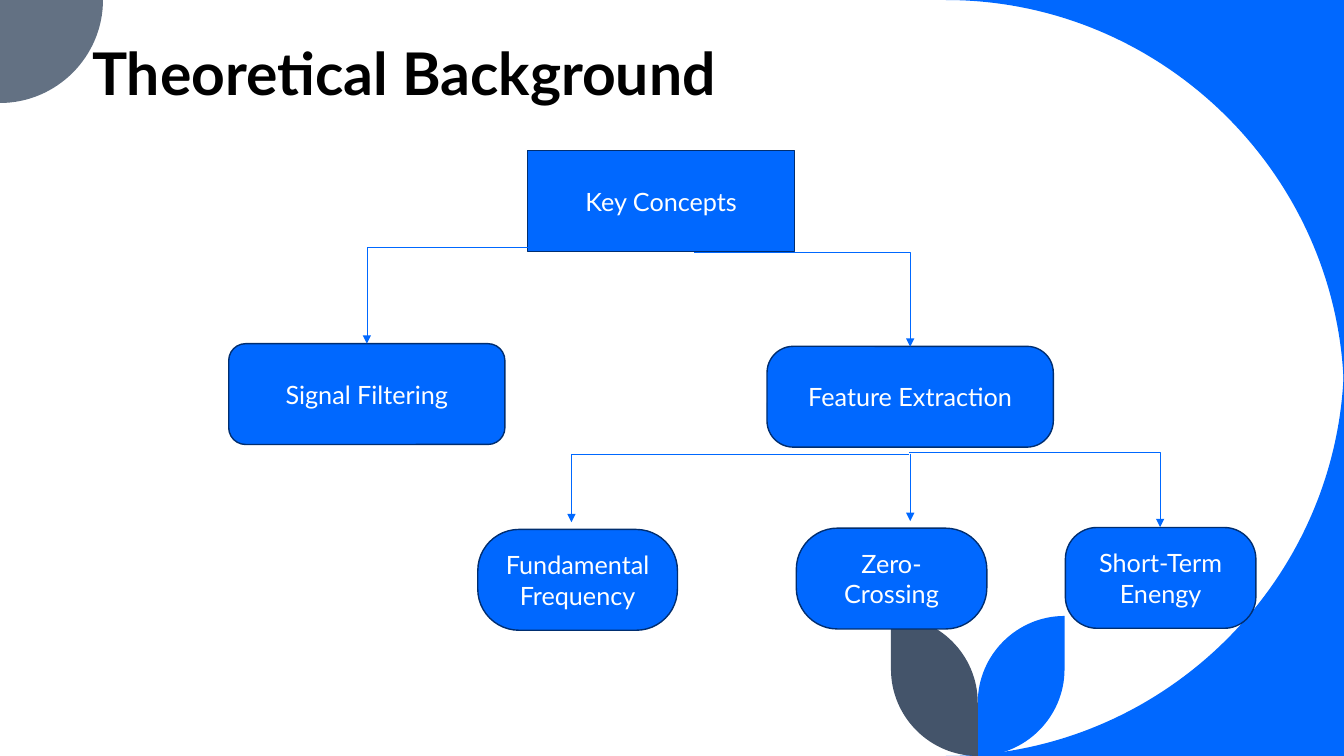
from lxml.etree import SubElement
from pptx import Presentation
from pptx.dml.color import RGBColor
from pptx.enum.shapes import MSO_CONNECTOR, MSO_SHAPE
from pptx.enum.text import MSO_ANCHOR, PP_ALIGN
from pptx.oxml.ns import qn
from pptx.util import Pt

BLUE = RGBColor(0x00, 0x68, 0xFF)
NAVY = RGBColor(0x00, 0x2E, 0x70)
GRAY = RGBColor(0x63, 0x71, 0x83)
SLATE = RGBColor(0x44, 0x54, 0x6A)
WHITE = RGBColor(0xFF, 0xFF, 0xFF)
BLACK = RGBColor(0x00, 0x00, 0x00)
FONT = "Lato"
WIDTH, HEIGHT = 960, 540
BOX_HEIGHT = 72
ARC_PULL = 0.55  # share of the way to the corner that makes a quarter circle

TITLE = "Theoretical Background"
# text, left, top, width, corner rounding (None for a square box)
CONCEPTS = [
    ("Key Concepts", 376.9, 107.6, 190.8, None),
    ("Signal Filtering", 163.4, 245.5, 197.3, 0.167),
    ("Fundamental Frequency", 341.3, 378.2, 142.6, 0.409),
    ("Zero- Crossing", 568.8, 377.3, 136.1, 0.409),
    ("Short-Term Enengy", 761, 376.8, 136.1, 0.314),
    ("Feature Extraction", 547.9, 247.4, 204.5, 0.261),
]
# start x, start y, end x, end y
ARROWS = [
    (536.4, 176.4, 262.1, 245.5),
    (496.1, 180, 650.2, 247.7),
    (649.4, 324.7, 408.2, 373),
    (650.2, 324, 650.2, 372.2),
    (649.4, 323.3, 828.7, 376.6),
]
CURVE_RADIUS = 284.4
CORNER_RADIUS = 73.6
LEAF_RADIUS = 62
LEAF_STEM = 698.4
LEAF_TOP = 440


def add_outline(page, color, start, steps):
    """Closed shape; each step is (end, corner), a quarter arc if corner is given."""
    builder = page.shapes.build_freeform(Pt(start[0]), Pt(start[1]))
    builder.add_line_segments([(Pt(x), Pt(y)) for (x, y), _ in steps], close=True)
    shape = builder.convert_to_shape()
    shape.shadow.inherit = False
    shape.fill.solid()
    shape.fill.fore_color.rgb = color
    shape.line.fill.background()

    origin = (shape.left, shape.top)
    previous = start
    lines = list(shape._element.iter(qn("a:lnTo")))
    for line, (end, corner) in zip(lines, steps):
        if corner:
            line.tag = qn("a:cubicBezTo")
            for index, anchor in enumerate((previous, end)):
                control = [Pt(a + (c - a) * ARC_PULL) - o
                           for a, c, o in zip(anchor, corner, origin)]
                point = SubElement(line, qn("a:pt"), x=str(control[0]), y=str(control[1]))
                line.insert(index, point)
        previous = end


def add_leaf(page, color, side):
    """Leaf to the right (1) or left (-1) of the stem."""
    outer = LEAF_STEM + side * LEAF_RADIUS
    add_outline(page, color, (outer, LEAF_TOP), [
        ((outer, HEIGHT - LEAF_RADIUS), None),
        ((LEAF_STEM, HEIGHT), (outer, HEIGHT)),
        ((LEAF_STEM, LEAF_TOP + LEAF_RADIUS), None),
        ((outer, LEAF_TOP), (LEAF_STEM, LEAF_TOP)),
    ])


def set_text(shape, text, size, color, bold=False):
    frame = shape.text_frame
    frame.word_wrap = True
    para = frame.paragraphs[0]
    para.text = text
    para.font.name = FONT
    para.font.size = Pt(size)
    para.font.bold = bold
    para.font.color.rgb = color
    return frame, para


def add_concept(page, text, left, top, width, rounding):
    kind = MSO_SHAPE.RECTANGLE if rounding is None else MSO_SHAPE.ROUNDED_RECTANGLE
    box = page.shapes.add_shape(kind, Pt(left), Pt(top), Pt(width), Pt(BOX_HEIGHT))
    if rounding is not None:
        box.adjustments[0] = rounding
    box.shadow.inherit = False
    box.fill.solid()
    box.fill.fore_color.rgb = BLUE
    box.line.color.rgb = NAVY
    box.line.width = Pt(1)
    frame, para = set_text(box, text, 18, WHITE)
    frame.vertical_anchor = MSO_ANCHOR.MIDDLE
    para.alignment = PP_ALIGN.CENTER


def add_arrow(page, start_x, start_y, end_x, end_y):
    """Arrow that runs sideways first and then down."""
    straight = start_x == end_x
    kind = MSO_CONNECTOR.STRAIGHT if straight else MSO_CONNECTOR.ELBOW
    arrow = page.shapes.add_connector(kind, Pt(start_x), Pt(start_y), Pt(end_x), Pt(end_y))
    arrow.line.color.rgb = BLUE
    arrow.line.width = Pt(0.5)
    properties = arrow._element.spPr
    if not straight:
        properties.find(qn("a:prstGeom")).set("prst", "bentConnector2")
    SubElement(properties.find(qn("a:ln")), qn("a:tailEnd"), type="triangle")
    SubElement(properties, qn("a:effectLst"))


def main():
    deck = Presentation()
    deck.slide_width, deck.slide_height = Pt(WIDTH), Pt(HEIGHT)
    page = deck.slides.add_slide(deck.slide_layouts[6])

    curve_left = WIDTH - CURVE_RADIUS
    for edge, curve_end in ((0, CURVE_RADIUS), (HEIGHT, HEIGHT - CURVE_RADIUS)):
        corner = (WIDTH, edge)
        add_outline(page, BLUE, corner, [
            ((curve_left, edge), None),
            ((WIDTH, curve_end), corner),
        ])
    add_outline(page, GRAY, (0, 0), [
        ((CORNER_RADIUS, 0), None),
        ((0, CORNER_RADIUS), (CORNER_RADIUS, CORNER_RADIUS)),
    ])
    add_leaf(page, BLUE, 1)
    add_leaf(page, SLATE, -1)

    title = page.shapes.add_textbox(Pt(58.7), Pt(30.6), Pt(769.7), Pt(49.4))
    frame, para = set_text(title, TITLE, 42, BLACK, bold=True)
    frame.vertical_anchor = MSO_ANCHOR.BOTTOM
    para.line_spacing = 0.8

    for concept in CONCEPTS:
        add_concept(page, *concept)
    for ends in ARROWS:
        add_arrow(page, *ends)
    deck.save("out.pptx")


if __name__ == "__main__":
    main()
